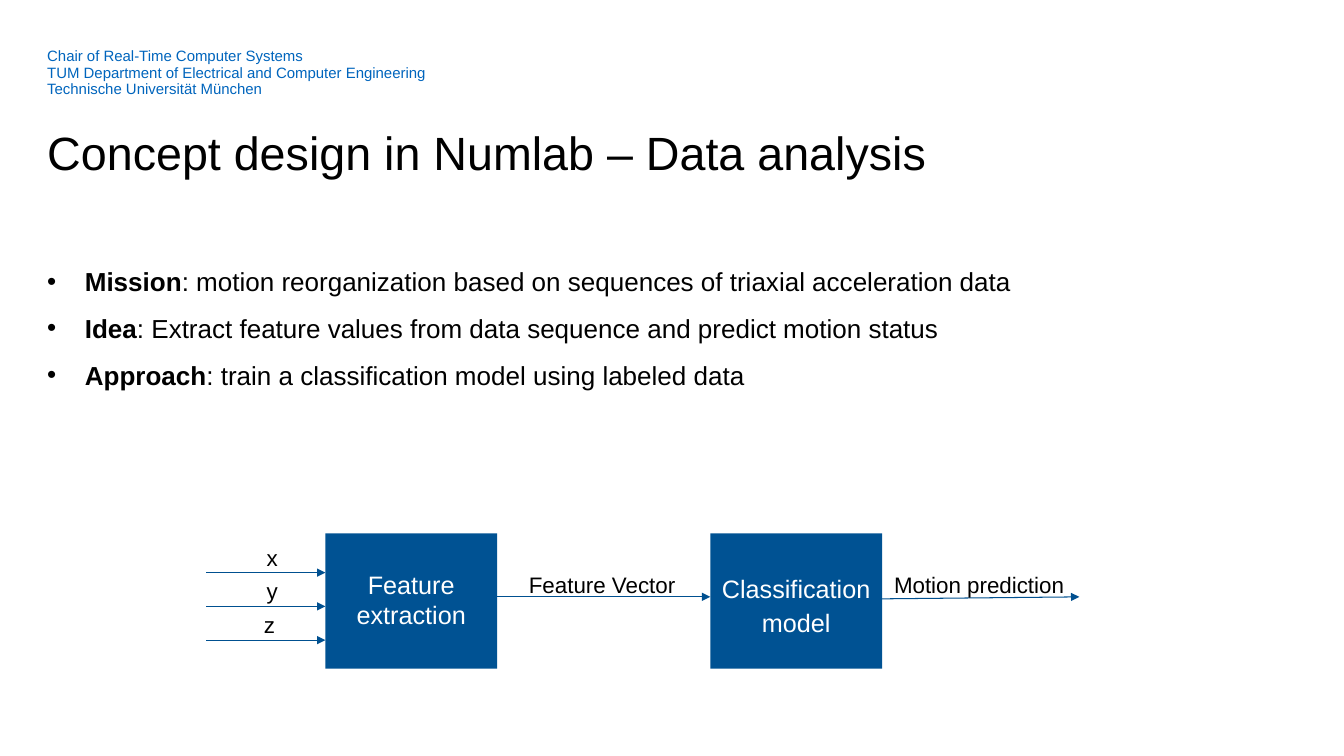
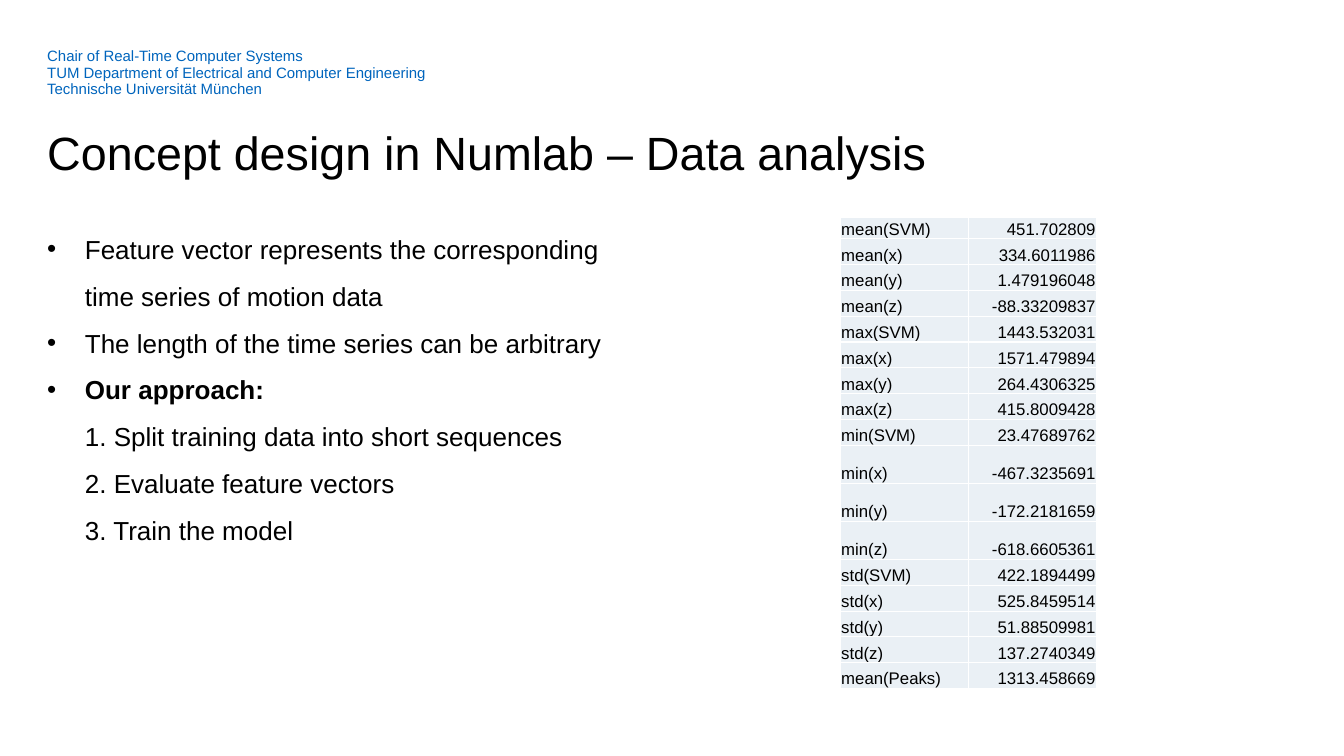
from lxml import etree
from pptx import Presentation
from pptx import util as u
from pptx.dml.color import RGBColor
from pptx.enum import shapes, text
from pptx.oxml import ns

BLACK = RGBColor(0x00, 0x00, 0x00)
WHITE = RGBColor(0xFF, 0xFF, 0xFF)
HEADER_BLUE = RGBColor(0x00, 0x65, 0xBD)
BLOCK_BLUE = RGBColor(0x00, 0x52, 0x93)
ARROW_BLUE = RGBColor(0x00, 0x50, 0x90)
CELL_GREY = RGBColor(0xEA, 0xF0, 0xF5)

FONT = "Arial"
MARGIN = 1.19
BODY_TOP = 5.49
INDENT = 0.95

TITLE = "Concept design in Numlab – Data analysis"
HEADER = [
    "Chair of Real-Time Computer Systems",
    "TUM Department of Electrical and Computer Engineering",
    "Technische Universität München",
]
# Each list entry: bold part, regular part, has a bullet
GOALS = [
    ("Mission", ": motion reorganization based on sequences of triaxial acceleration data", True),
    ("Idea", ": Extract feature values from data sequence and predict motion status", True),
    ("Approach", ": train a classification model using labeled data", True),
]
METHOD = [
    ("", "Feature vector represents the corresponding time series of motion data", True),
    ("", "The length of the time series can be arbitrary", True),
    ("Our approach:", "", True),
    ("", "1. Split training data into short sequences", False),
    ("", "2. Evaluate feature vectors", False),
    ("", "3. Train the model", False),
]
FEATURES = [
    ("mean(SVM)", "451.702809"), ("mean(x)", "334.6011986"),
    ("mean(y)", "1.479196048"), ("mean(z)", "-88.33209837"),
    ("max(SVM)", "1443.532031"), ("max(x)", "1571.479894"),
    ("max(y)", "264.4306325"), ("max(z)", "415.8009428"),
    ("min(SVM)", "23.47689762"), ("min(x)", "-467.3235691"),
    ("min(y)", "-172.2181659"), ("min(z)", "-618.6605361"),
    ("std(SVM)", "422.1894499"), ("std(x)", "525.8459514"),
    ("std(y)", "51.88509981"), ("std(z)", "137.2740349"),
    ("mean(Peaks)", "1313.458669"),
]
TALL_ROWS = ("min(x)", "min(y)", "min(z)")


def add_child(parent, tag, **attributes):
    return etree.SubElement(parent, ns.qn(tag), attributes)


def style(para, size, color):
    for span in para.runs:
        span.font.name, span.font.size = FONT, u.Pt(size)
        span.font.color.rgb = color


def clear_insets(frame):
    frame.margin_left = frame.margin_right = 0
    frame.margin_top = frame.margin_bottom = 0


def add_text_box(page, left, top, width, height, wrap=True):
    box = page.shapes.add_textbox(u.Cm(left), u.Cm(top), u.Cm(width), u.Cm(height))
    clear_insets(box.text_frame)
    box.text_frame.word_wrap = wrap
    return box.text_frame


def add_page(deck):
    """Slide with the shared department header and title."""
    page = deck.slides.add_slide(deck.slide_layouts[5])
    header = add_text_box(page, MARGIN, 1.2, 26.5, 2.13)
    header.text = "\n".join(HEADER)
    for para in header.paragraphs:
        para.line_spacing = u.Pt(12)
        style(para, 10.7, HEADER_BLUE)

    title = page.shapes.title
    title.left, title.top = u.Cm(MARGIN), u.Cm(3.12)
    title.width, title.height = u.Cm(31.52), u.Cm(1.35)
    frame = title.text_frame
    frame.text = TITLE
    clear_insets(frame)
    frame.auto_size = text.MSO_AUTO_SIZE.NONE
    frame.vertical_anchor = text.MSO_ANCHOR.TOP
    frame.paragraphs[0].alignment = text.PP_ALIGN.LEFT
    style(frame.paragraphs[0], 33.3, BLACK)
    return page


def add_list(page, entries, left, top, width, height):
    frame = add_text_box(page, left, top, width, height)
    for index, (strong, regular, bulleted) in enumerate(entries):
        para = frame.paragraphs[0] if index == 0 else frame.add_paragraph()
        para.line_spacing = 1.5
        properties = para._p.get_or_add_pPr()
        properties.set("marL", str(u.Cm(INDENT)))
        properties.set("indent", str(-u.Cm(INDENT) if bulleted else 0))
        if bulleted:
            add_child(properties, "a:buFont", typeface=FONT)
            add_child(properties, "a:buChar", char="•")
        for words, bold in ((strong, True), (regular, False)):
            if words:
                span = para.add_run()
                span.text = words
                span.font.bold = bold
        style(para, 18.6, BLACK)


def add_block(page, caption, left, top, width, height, spacing=1.0, drop=0.0):
    block = page.shapes.add_shape(shapes.MSO_SHAPE.RECTANGLE, u.Cm(left), u.Cm(top),
                                  u.Cm(width), u.Cm(height))
    block.shadow.inherit = False
    block.fill.solid()
    block.fill.fore_color.rgb = BLOCK_BLUE
    block.line.fill.background()
    frame = block.text_frame
    frame.word_wrap = True
    frame.margin_top = u.Cm(0.03 + drop)
    frame.vertical_anchor = text.MSO_ANCHOR.MIDDLE
    frame.text = caption
    for para in frame.paragraphs:
        para.alignment = text.PP_ALIGN.CENTER
        para.line_spacing = spacing
        style(para, 18, WHITE)


def add_arrow(page, start, end):
    points = [u.Cm(value) for value in (*start, *end)]
    arrow = page.shapes.add_connector(shapes.MSO_CONNECTOR.STRAIGHT, *points)
    arrow.line.color.rgb = ARROW_BLUE
    arrow.line.width = u.Pt(0.75)
    add_child(arrow.line._get_or_add_ln(), "a:tailEnd", type="triangle")
    add_child(arrow._element.spPr, "a:effectLst")


def add_label(page, caption, center, top, width):
    frame = add_text_box(page, center - width / 2, top, width, 0.79, wrap=False)
    frame.text = caption
    para = frame.paragraphs[0]
    para.alignment = text.PP_ALIGN.CENTER
    para.line_spacing = 1.14
    style(para, 16, BLACK)


def add_pipeline(page, left, top):
    """Flow from three axes through two blocks to the prediction."""
    block_width, block_height = 4.33, 3.41
    extraction, model = left + 3, left + 12.7
    middle = top + 1.6

    add_block(page, "Feature extraction", extraction, top, block_width, block_height)
    add_block(page, "Classification\nmodel", model, top, block_width, block_height,
              spacing=1.14, drop=0.2)

    # Inputs
    for index, (axis, center) in enumerate((("x", 1.66), ("y", 1.66), ("z", 1.59))):
        height = top + 0.99 + 0.85 * index
        add_arrow(page, (left, height), (extraction, height))
        add_label(page, axis, left + center, height - 0.82, 0.28)

    # Links after each block
    links = (
        ("Feature Vector", extraction + block_width, model, 0, 3.73),
        ("Motion prediction", model + block_width, left + 22, 0.05, 4.34),
    )
    for caption, start, end, slope, width in links:
        add_arrow(page, (start, middle + slope), (end, middle))
        add_label(page, caption, (start + end) / 2 - 0.04, middle - 0.74, width)


def style_cell(cell, value, alignment):
    cell.text = value
    cell.fill.solid()
    cell.fill.fore_color.rgb = CELL_GREY
    cell.margin_left = cell.margin_right = cell.margin_top = u.Cm(0.02)
    cell.margin_bottom = 0
    cell.vertical_anchor = text.MSO_ANCHOR.BOTTOM
    para = cell.text_frame.paragraphs[0]
    para.alignment = alignment
    style(para, 12, BLACK)
    # Borders come before the fill in the cell properties
    properties = cell._tc.get_or_add_tcPr()
    for index, side in enumerate(("a:lnL", "a:lnR", "a:lnT", "a:lnB")):
        border = add_child(properties, side, w=str(u.Pt(1)))
        fill = add_child(border, "a:solidFill")
        add_child(fill, "a:srgbClr", val=str(WHITE))
        properties.insert(index, border)


def add_feature_table(page, left, top, width):
    heights = [0.96 if name in TALL_ROWS else 0.65 for name, _ in FEATURES]
    heights[0] = 0.5
    frame = page.shapes.add_table(len(FEATURES), 2, u.Cm(left), u.Cm(top),
                                  u.Cm(width), u.Cm(sum(heights)))
    table = frame.table
    table.first_row = table.horz_banding = False
    for row, height, values in zip(table.rows, heights, FEATURES):
        row.height = u.Cm(height)
        for cell, value, alignment in zip(row.cells, values,
                                          (text.PP_ALIGN.LEFT, text.PP_ALIGN.RIGHT)):
            style_cell(cell, value, alignment)


def main():
    deck = Presentation()
    deck.slide_width, deck.slide_height = u.Cm(33.87), u.Cm(19.05)

    page = add_page(deck)
    add_list(page, GOALS, MARGIN, 6.3, 30.78, 4.14)
    add_pipeline(page, 5.2, 13.44)

    page = add_page(deck)
    add_list(page, METHOD, MARGIN, BODY_TOP, 14.91, 11.89)
    add_feature_table(page, 21.18, BODY_TOP, 6.45)

    deck.save("out.pptx")


if __name__ == "__main__":
    main()
